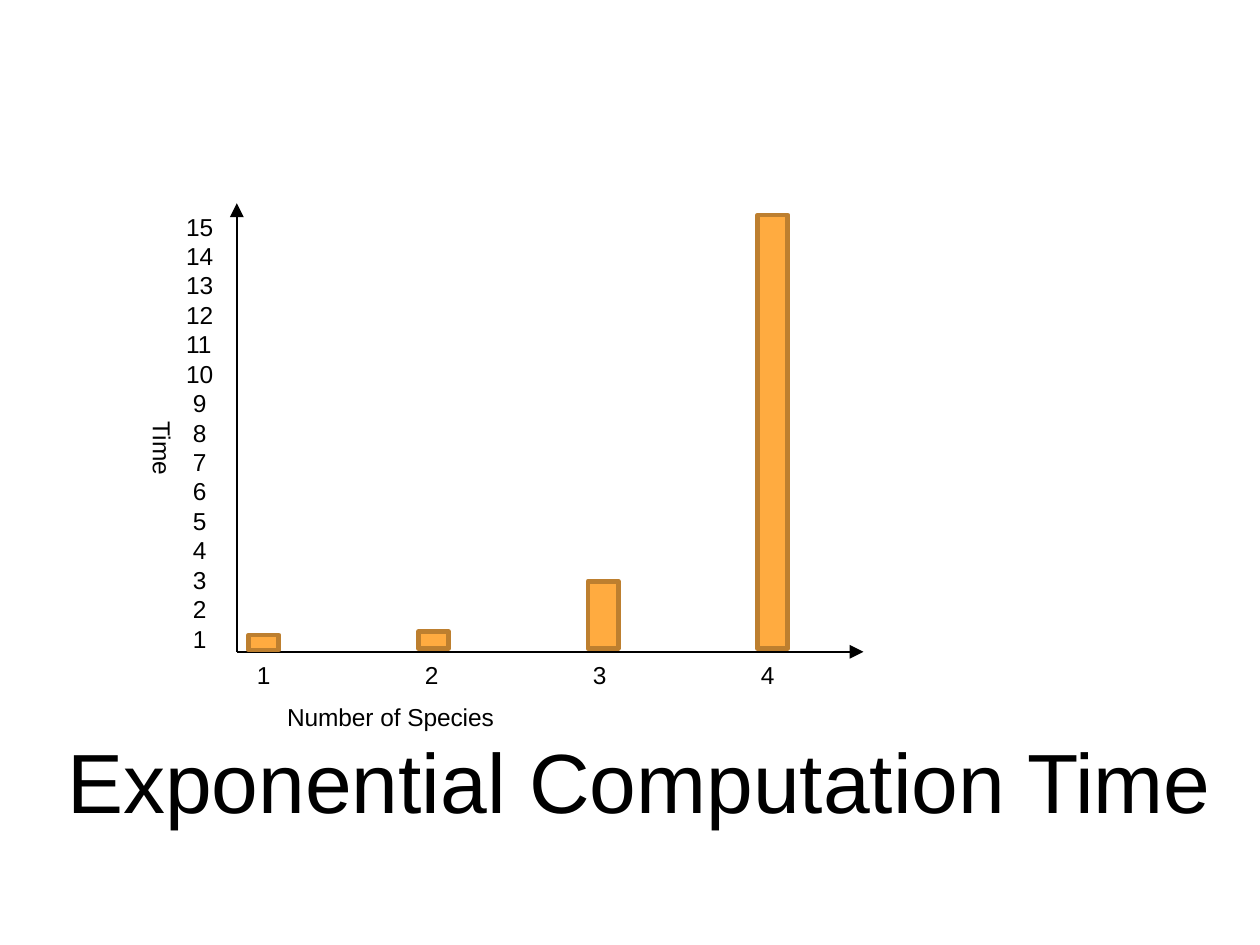
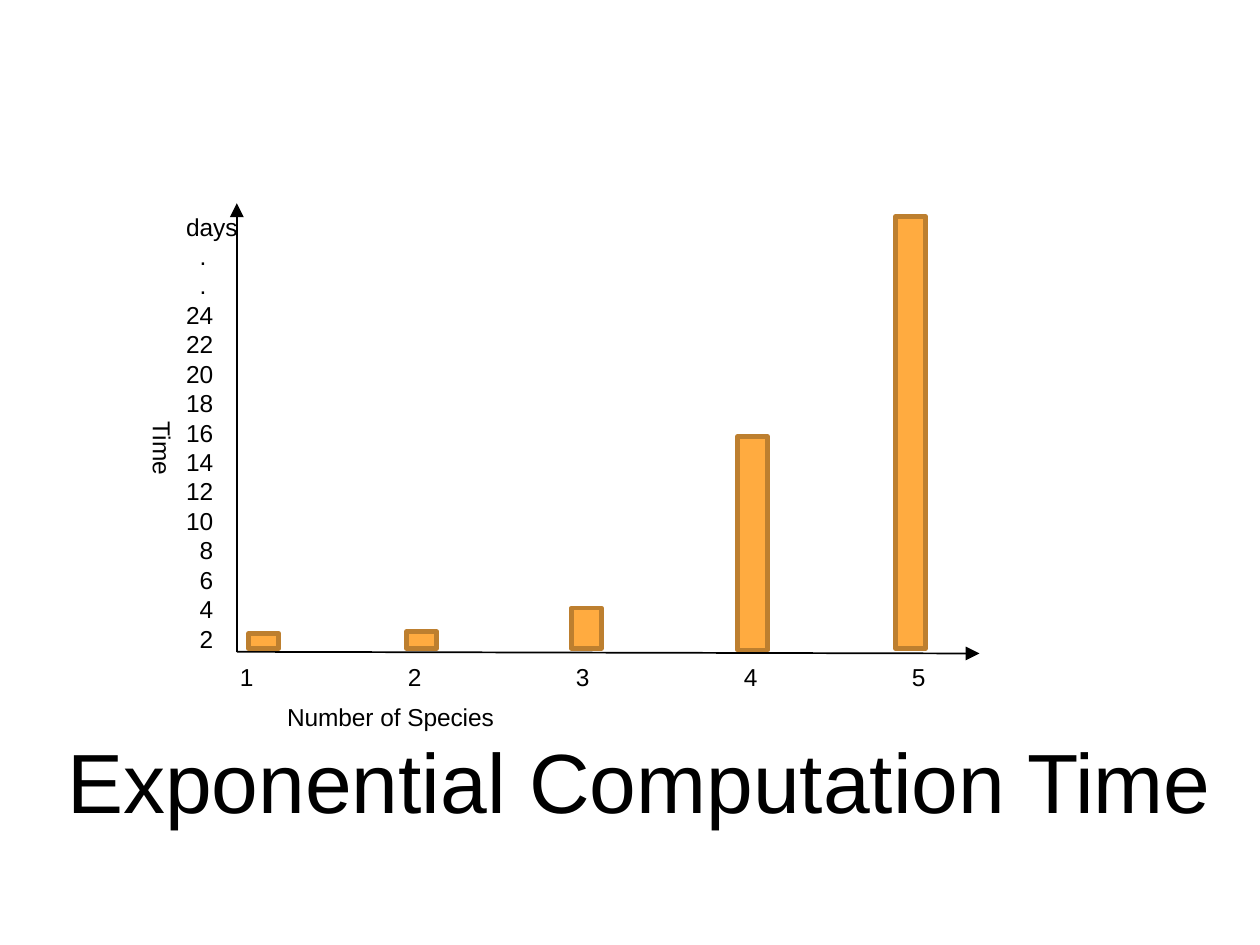
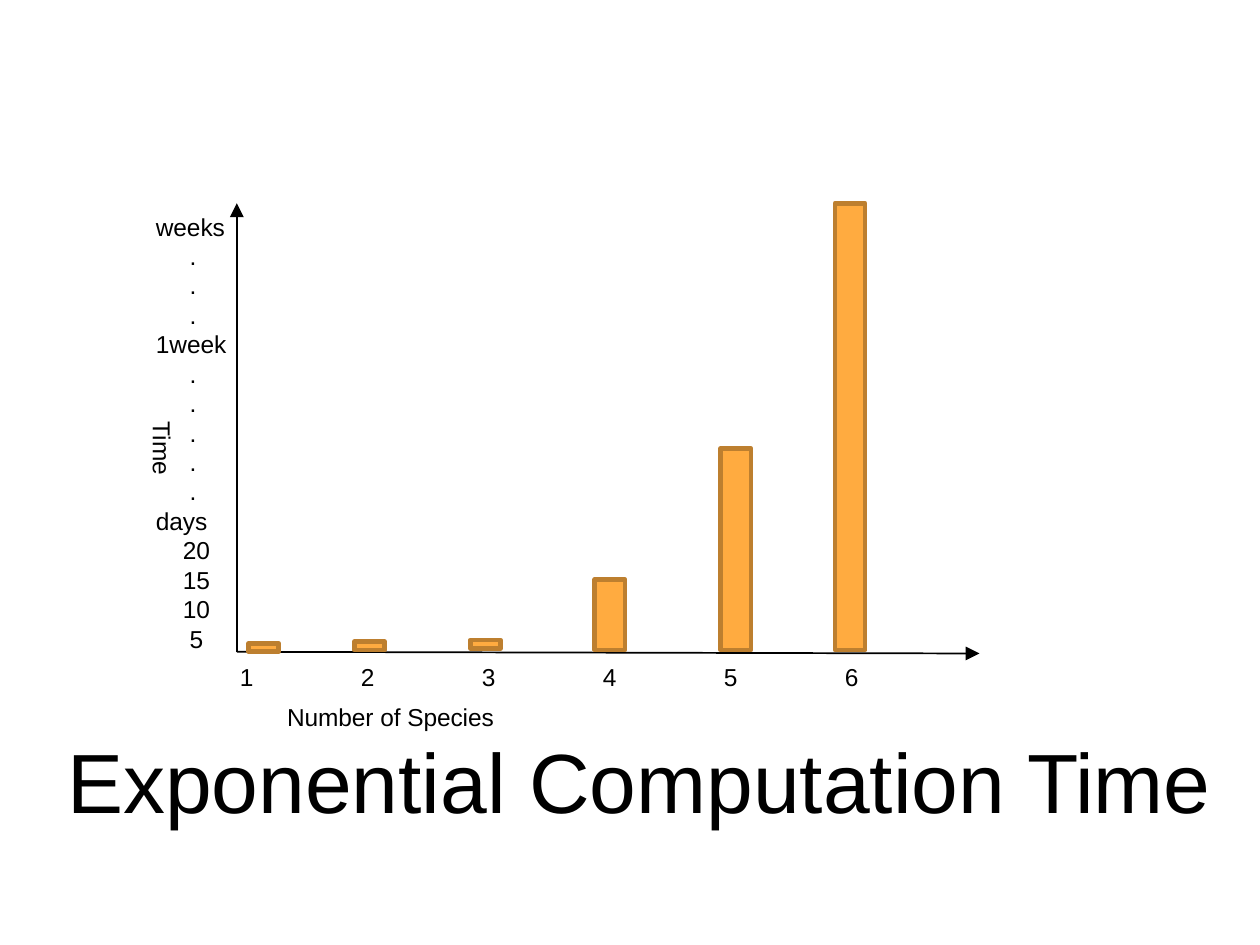
from pptx import Presentation
from pptx.dml.color import RGBColor
from pptx.enum.shapes import MSO_CONNECTOR, MSO_SHAPE
from pptx.enum.text import MSO_ANCHOR, MSO_AUTO_SIZE, PP_ALIGN
from pptx.oxml.ns import qn
from pptx.util import Inches, Pt
from lxml.etree import SubElement

# Shared style
FONT = "Arial"
BLACK, ORANGE, BROWN = "000000", "FFAB40", "BD7F2F"
LABEL_SIZE, TITLE_SIZE = 10.5, 36
LINE_RATIO = 1.2
TITLE = "Exponential Computation Time"

# Shared chart geometry, in inches
SLIDE_WIDTH = 7.5
SLIDE_HEIGHT = SLIDE_WIDTH * 3 / 4
AXIS_X, AXIS_Y, AXIS_TOP = 1.41, 3.88, 1.21
BAR_WIDTH = 0.18

# Tick labels run from top to bottom as (indent, labels);
# bars are (left, top, height)
CHARTS = [
    dict(axis_end=(5.14, 3.88), species=4, label_box=(1.43, 3.88, 3.48, 0.45), pitch=1,
         tick_box=(1.01, 1.21, 0.4, 2.75),
         ticks=[(0, range(15, 9, -1)), (0.04, range(9, 0, -1))],
         bars=[(1.48, 3.78, 0.09), (2.49, 3.76, 0.1), (3.5, 3.46, 0.4),
               (4.51, 1.28, 2.58)]),
    dict(axis_end=(5.83, 3.89), species=5, label_box=(1.33, 3.89, 4.42, 0.28), pitch=1,
         tick_box=(1.01, 1.21, 0.64, 2.75),
         ticks=[(0, ["days"]), (0.08, ".."), (0, range(24, 9, -2)),
                (0.08, range(8, 0, -2))],
         bars=[(1.48, 3.77, 0.09), (2.42, 3.76, 0.1), (3.4, 3.62, 0.24),
               (4.39, 2.6, 1.27), (5.33, 1.29, 2.57)]),
    dict(axis_end=(5.83, 3.89), species=6, label_box=(1.33, 3.89, 4.42, 0.28), pitch=0.72,
         tick_box=(0.83, 1.21, 0.82, 2.75),
         ticks=[(0, ["weeks"]), (0.2, "..."), (0, ["1week"]), (0.2, "....."),
                (0, ["days"]), (0.16, [20, 15, 10]), (0.2, [5])],
         bars=[(1.48, 3.83, 0.05), (2.11, 3.82, 0.05), (2.8, 3.81, 0.05),
               (3.54, 3.45, 0.42), (4.29, 2.67, 1.2), (4.97, 1.21, 2.66)]),
]


def rgb(value):
    return RGBColor.from_string(value)


def inches(values):
    return [Inches(v) for v in values]


def write(p, text, size=LABEL_SIZE, align=PP_ALIGN.LEFT, indent=0, tab_pitch=None):
    """Fill a paragraph with one formatted run."""
    pPr = p._p.get_or_add_pPr()
    pPr.set("marL", str(Inches(indent)))
    pPr.set("indent", "0")
    if tab_pitch:
        pPr.set("defTabSz", str(Inches(tab_pitch)))
    p.alignment = align
    p.line_spacing = Pt(size * LINE_RATIO)
    r = p.add_run()
    r.text = text
    r.font.name, r.font.size = FONT, Pt(size)
    r.font.color.rgb = rgb(BLACK)


def add_box(slide, box):
    sp = slide.shapes.add_textbox(*inches(box))
    sp.text_frame.word_wrap = True
    sp.text_frame.auto_size = MSO_AUTO_SIZE.SHAPE_TO_FIT_TEXT
    return sp


def add_label(slide, text, box, rotation=0, **fmt):
    sp = add_box(slide, box)
    sp.rotation = rotation
    write(sp.text_frame.paragraphs[0], text, **fmt)


def add_ticks(slide, box, groups):
    tf = add_box(slide, box).text_frame
    labels = [(str(label), indent) for indent, group in groups for label in group]
    for i, (label, indent) in enumerate(labels):
        p = tf.add_paragraph() if i else tf.paragraphs[0]
        write(p, label, indent=indent)


def add_axis(slide, end):
    line = slide.shapes.add_connector(
        MSO_CONNECTOR.STRAIGHT, *inches((AXIS_X, AXIS_Y, *end)))
    line.line.color.rgb = rgb(BLACK)
    line.line.width = Pt(0.75)
    SubElement(line.line._get_or_add_ln(), qn("a:tailEnd"), type="triangle")
    SubElement(line._element.spPr, qn("a:effectLst"))


def add_bar(slide, left, top, height):
    sp = slide.shapes.add_shape(
        MSO_SHAPE.RECTANGLE, *inches((left, top, BAR_WIDTH, height)))
    sp.shadow.inherit = False
    sp.fill.solid()
    sp.fill.fore_color.rgb = rgb(ORANGE)
    sp.line.color.rgb = rgb(BROWN)
    sp.line.width = Pt(2)


def set_title(slide):
    sp = slide.shapes.title
    sp.left, sp.top, sp.width, sp.height = inches((0, 4.27, 7.61, 0.46))
    tf = sp.text_frame
    tf.word_wrap = True
    tf.auto_size = MSO_AUTO_SIZE.NONE
    tf.vertical_anchor = MSO_ANCHOR.TOP
    tf.margin_left = tf.margin_right = tf.margin_top = tf.margin_bottom = Inches(0.07)
    write(tf.paragraphs[0], TITLE, size=TITLE_SIZE, align=PP_ALIGN.CENTER)


def add_chart_slide(prs, axis_end, species, label_box, pitch, tick_box, ticks, bars):
    slide = prs.slides.add_slide(prs.slide_layouts[5])
    set_title(slide)
    # Axes
    for end in (axis_end, (AXIS_X, AXIS_TOP)):
        add_axis(slide, end)
    # Axis labels
    numbers = "\t".join(str(n) for n in range(1, species + 1))
    add_label(slide, numbers, label_box, tab_pitch=pitch)
    add_ticks(slide, tick_box, ticks)
    add_label(slide, "Number of Species", (1.48, 4.13, 1.69, 0.28), align=PP_ALIGN.CENTER)
    add_label(slide, "Time", (0.33, 2.53, 1.27, 0.28), rotation=90, align=PP_ALIGN.CENTER)
    # Bars
    for left, top, height in bars:
        add_bar(slide, left, top, height)


def main():
    prs = Presentation()
    prs.slide_width, prs.slide_height = inches((SLIDE_WIDTH, SLIDE_HEIGHT))
    for chart in CHARTS:
        add_chart_slide(prs, **chart)
    prs.save("out.pptx")


if __name__ == "__main__":
    main()
